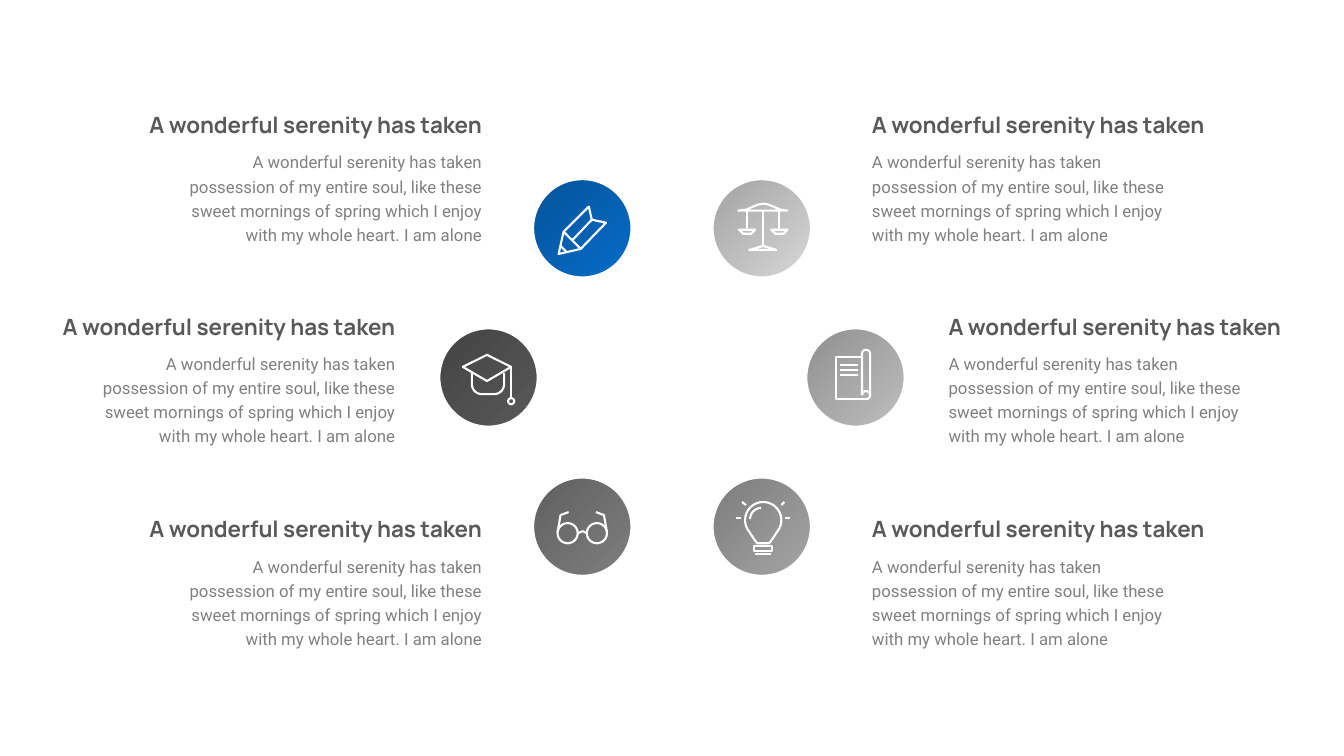
"""Build a slide with six icon circles, each beside a heading and a short text."""
from math import cos, radians, sin

from lxml import etree
from pptx import Presentation
from pptx import util as u
from pptx.dml.color import RGBColor
from pptx.enum import shapes, text
from pptx.oxml import ns

THEME = {
    "heading": {"name": "Manrope", "size": u.Pt(16), "bold": True},
    "body": {"name": "Roboto", "size": u.Pt(12), "bold": False},
    "heading_color": RGBColor.from_string("595959"),
    "body_color": RGBColor.from_string("808080"),
    "white": RGBColor.from_string("FFFFFF"),
    "ring": u.Pt(4),
    "stroke": u.Pt(1.5),
}
FRAME = {"word_wrap": True, "auto_size": text.MSO_AUTO_SIZE.SHAPE_TO_FIT_TEXT}
HEADING = "A wonderful serenity has taken"
BODY = (
    "A wonderful serenity has taken possession of my entire soul, like these "
    "sweet mornings of spring which I enjoy with my whole heart. I am alone"
)
HEADING_WIDTH, BODY_WIDTH, CIRCLE_SIZE = 4, 3.23, 1.01
TEXT_TOPS = (1, 3, 5.01)
BODY_OFFSET = 0.42
CIRCLE_TOP, CIRCLE_PITCH = 1.76, 1.48


def arc(x, y, radius, start=0, end=360):
    """Return points along an arc, with angles in degrees clockwise from the right."""
    angles = [radians(start + (end - start) * step / 24) for step in range(25)]
    return [(x + radius * cos(angle), y + radius * sin(angle)) for angle in angles]


def apply_values(target, values):
    """Set each named attribute of the target."""
    for name, value in values.items():
        setattr(target, name, value)


pencil = [
    [(5.84, 2.05), (5.87, 2.18), (6.01, 2.21), (5.76, 2.47), (5.54, 2.52), (5.59, 2.3), (5.84, 2.05)],
    [(5.59, 2.3), (5.76, 2.47)],
    [(5.87, 2.18), (5.68, 2.38)],
    [(5.56, 2.44), (5.62, 2.5)],
]
cap = [
    [(4.59, 3.64), (4.83, 3.52), (5.07, 3.64), (4.83, 3.78), (4.59, 3.64)],
    [(4.68, 3.7), *arc(4.78, 3.81, 0.1, 180, 90), *arc(4.9, 3.81, 0.1, 90, 0), (5, 3.7)],
    [(5.07, 3.64), (5.07, 3.95)],
    arc(5.07, 3.98, 0.03),
]
glasses = [[(5.73, 5.29), (5.78, 5.27), (5.82, 5.29)]]
for lens, side in ((5.63, -1), (5.92, 1)):
    glasses.append(arc(lens, 5.29, 0.1))
    glasses.append([(lens + side * 0.1, 5.28), (lens + side * 0.07, 5.11), (lens - side * 0.01, 5.08)])
scales = [
    [(7.32, 2.09), (7.4, 2.08), (7.47, 2.05), (7.52, 2.03), (7.57, 2.02),
     (7.62, 2.03), (7.67, 2.05), (7.74, 2.08), (7.81, 2.09), (7.32, 2.09)],
    [(7.57, 2.09), (7.57, 2.44)],
    [(7.43, 2.48), (7.57, 2.44), (7.7, 2.48), (7.43, 2.48)],
]
for pan in (7.41, 7.73):
    scales.append([(pan, 2.09), (pan, 2.28)])
    scales.append([(pan - 0.08, 2.28), (pan + 0.08, 2.28), (pan + 0.04, 2.32),
                   (pan - 0.04, 2.32), (pan - 0.08, 2.28)])
scroll = [
    [(8.55, 3.54), (8.29, 3.54), (8.29, 3.96), (8.59, 3.96)],
    [(8.55, 3.92), *arc(8.59, 3.51, 0.04, 180, 360), *arc(8.59, 3.92, 0.04, 0, 90)],
    arc(8.59, 3.92, 0.04, 180, 360),
]
scroll += [[(8.33, line), (8.51, line)] for line in (3.62, 3.67, 3.72)]
bulb_glass = arc(7.57, 5.16, 0.18, 140, 400)
bulb = [
    [*bulb_glass, (7.66, 5.35), (7.63, 5.39), (7.51, 5.39), (7.48, 5.35), bulb_glass[0]],
    arc(7.55, 5.15, 0.11, 180, 270),
    [(7.48, 5.42), (7.66, 5.42), (7.66, 5.47), (7.48, 5.47), (7.48, 5.42)],
    [(7.49, 5.5), (7.65, 5.5)],
    [(7.3, 5.14), (7.35, 5.14)],
    [(7.79, 5.14), (7.84, 5.14)],
    [(7.36, 4.98), (7.4, 5.01)],
    [(7.78, 4.98), (7.75, 5.01)],
]

TOPICS = [
    ("left", 0, 4.88, 5.27, "066DCA", "055298", pencil),
    ("left", 1, 4.02, 4.34, "595959", "434343", cap),
    ("left", 2, 4.88, 5.27, "7F7F7F", "5F5F5F", glasses),
    ("right", 0, 8.55, 7.05, "D8D8D8", "A2A2A2", scales),
    ("right", 1, 9.31, 7.98, "BFBFBF", "8F8F8F", scroll),
    ("right", 2, 8.55, 7.05, "A5A5A5", "7C7C7C", bulb),
]

presentation = Presentation()
presentation.slide_width = u.Inches(13.33)
presentation.slide_height = u.Inches(7.5)
slide = presentation.slides.add_slide(presentation.slide_layouts[6])

for side, row, text_edge, circle_left, light, dark, icon in TOPICS:
    for role, words, width, height, offset in (
        ("heading", HEADING, HEADING_WIDTH, 0.42, 0),
        ("body", BODY, BODY_WIDTH, 1.07, BODY_OFFSET),
    ):
        left = text_edge - width if side == "left" else text_edge
        top = TEXT_TOPS[row] + offset
        box = slide.shapes.add_textbox(u.Inches(left), u.Inches(top), u.Inches(width), u.Inches(height))
        apply_values(box.text_frame, FRAME)
        paragraph = box.text_frame.paragraphs[0]
        paragraph.text = words
        paragraph.line_spacing = 1.2
        paragraph.alignment = text.PP_ALIGN.RIGHT if side == "left" else text.PP_ALIGN.LEFT
        apply_values(paragraph.font, THEME[role])
        paragraph.font.color.rgb = THEME[role + "_color"]

    circle = slide.shapes.add_shape(
        shapes.MSO_SHAPE.OVAL, u.Inches(circle_left), u.Inches(CIRCLE_TOP + CIRCLE_PITCH * row),
        u.Inches(CIRCLE_SIZE), u.Inches(CIRCLE_SIZE))
    circle.shadow.inherit = False
    circle.fill.gradient()
    for stop, color in zip(circle.fill.gradient_stops, (light, dark)):
        stop.color.rgb = RGBColor.from_string(color)
    linear = circle.element.spPr.find(".//" + ns.qn("a:lin"))
    radial = etree.Element(ns.qn("a:path"), path="circle")
    etree.SubElement(radial, ns.qn("a:fillToRect"), l="100000", t="100000")
    linear.getparent().replace(linear, radial)
    circle.line.color.rgb = THEME["white"]
    circle.line.width = THEME["ring"]

    strokes = [[(u.Inches(x), u.Inches(y)) for x, y in stroke] for stroke in icon]
    builder = slide.shapes.build_freeform(*strokes[0][0])
    for number, stroke in enumerate(strokes):
        if number:
            builder.move_to(*stroke[0])
        builder.add_line_segments(stroke[1:], close=False)
    drawing = builder.convert_to_shape()
    drawing.shadow.inherit = False
    drawing.fill.background()
    drawing.line.color.rgb = THEME["white"]
    drawing.line.width = THEME["stroke"]

presentation.save("out.pptx")
